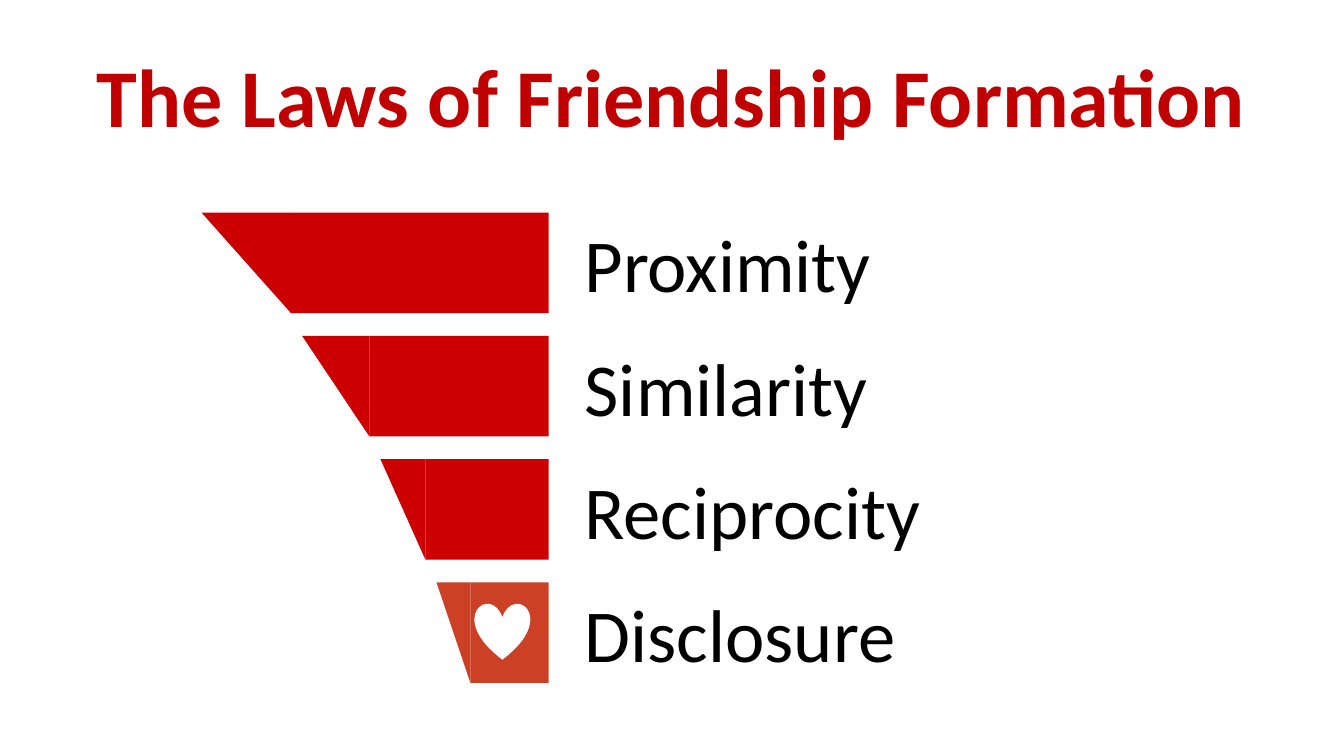
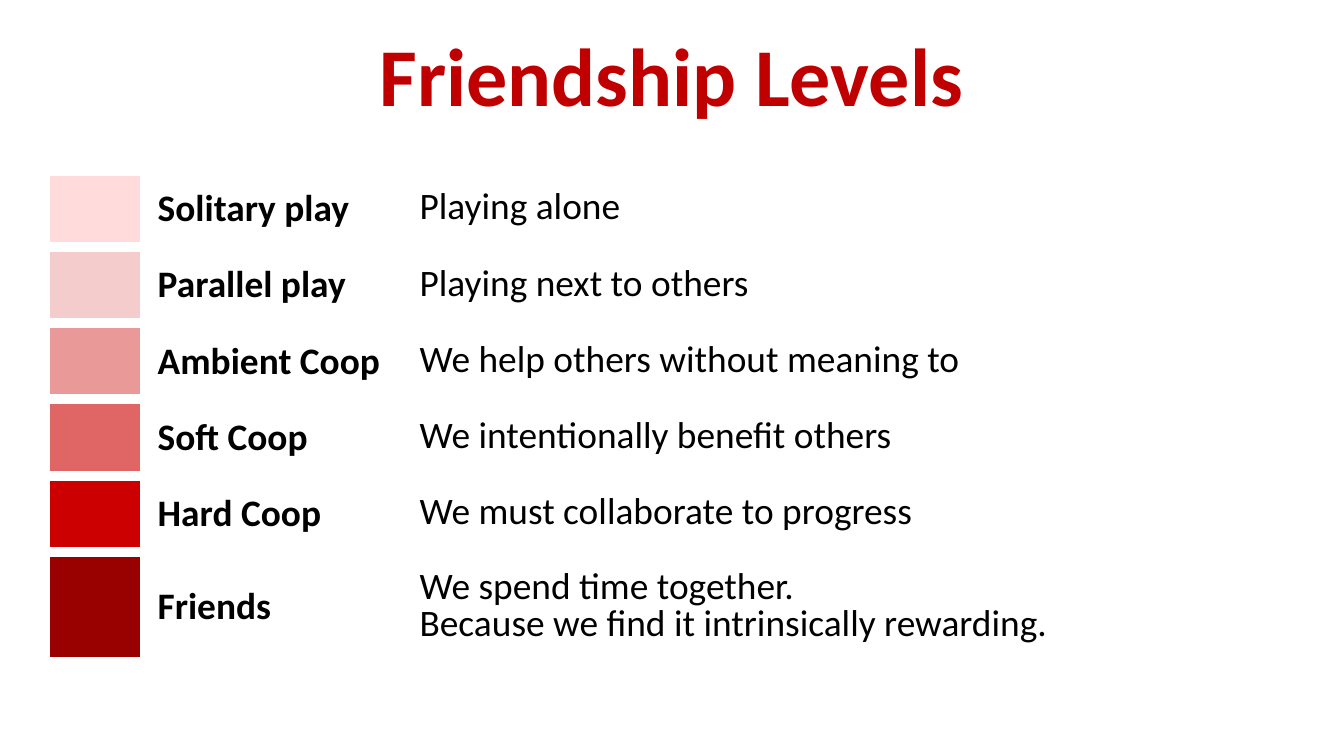
import pptx
import pptx.dml.color
import pptx.enum.shapes
import pptx.enum.text
import pptx.oxml
import pptx.oxml.ns
import pptx.util

Cm = pptx.util.Cm
Pt = pptx.util.Pt
SHAPE = pptx.enum.shapes.MSO_SHAPE
ALIGN = pptx.enum.text.PP_ALIGN
MIDDLE = pptx.enum.text.MSO_ANCHOR.MIDDLE

FONT = "Calibri"
COLOURS = {
    "title": "C00000",
    "text": "000000",
    "white": "FFFFFF",
    "law": "CC0000",
    "disclosure": "CC4125",
}
INSET = 0.25

LAWS = [
    ("Proximity", 1.69, 4.87, "law"),
    ("Similarity", 1.27, 3.39, "law"),
    ("Reciprocity", 0.85, 2.33, "law"),
    ("Disclosure", 0.64, 1.48, "disclosure"),
]
FUNNEL_TOP, FUNNEL_RIGHT, FUNNEL_PITCH, BAR_HEIGHT = 4.02, 10.37, 2.33, 1.9

LEVELS = [
    ("FFDBDB", "Solitary play", "Playing alone"),
    ("F4CCCC", "Parallel play", "Playing next to others"),
    ("EA9999", "Ambient Coop", "We help others without meaning to"),
    ("E06666", "Soft Coop", "We intentionally benefit others"),
    ("CC0000", "Hard Coop", "We must collaborate to progress"),
    ("990000", "Friends",
     "We spend time together. \vBecause we find it intrinsically rewarding."),
]
COLUMN_WIDTHS = [1.88, 4.95, 17.07]
ROW_HEIGHTS = [1.44] * 5 + [2.09]


def rgb(value):
    """Turn a hex string into a colour."""
    return pptx.dml.color.RGBColor.from_string(value)


def write(frame, text, size, colour="text", bold=False):
    """Write one styled paragraph into a text frame and return it."""
    para = frame.paragraphs[0]
    para.text = text
    para.font.name = FONT
    para.font.size = Pt(size)
    para.font.bold = bold
    para.font.color.rgb = rgb(COLOURS[colour])
    return para


def add_text(page, text, place, size, colour="text", bold=False):
    """Add a wrapped, vertically centred text box and return its paragraph."""
    frame = page.shapes.add_textbox(*map(Cm, place)).text_frame
    frame.word_wrap = True
    frame.vertical_anchor = MIDDLE
    return write(frame, text, size, colour, bold)


def add_title(page, text, top):
    """Add the centred red title."""
    para = add_text(page, text, (1.27, top, 22.86, 2.38), 44, "title", True)
    para.alignment = ALIGN.CENTER


def add_solid(page, preset, place, colour, rotation=0):
    """Add a preset shape with a flat fill and no outline."""
    shape = page.shapes.add_shape(preset, *map(Cm, place))
    shape.shadow.inherit = False
    shape.fill.solid()
    shape.fill.fore_color.rgb = rgb(COLOURS[colour])
    shape.line.fill.background()
    shape.rotation = rotation


def add_funnel_step(page, index, label, slant, width, colour):
    """Add one funnel bar with its slanted end and its label."""
    top = FUNNEL_TOP + index * FUNNEL_PITCH
    left = FUNNEL_RIGHT - width
    add_solid(page, SHAPE.RIGHT_TRIANGLE, (left - slant, top, slant, BAR_HEIGHT), colour, 180)
    add_solid(page, SHAPE.RECTANGLE, (left, top, width, BAR_HEIGHT), colour)
    add_text(page, label, (10.8, top, 8.33, BAR_HEIGHT), 40)


def set_borders(cell, colour, points):
    """Draw all four borders of a table cell."""
    properties = cell._tc.get_or_add_tcPr()
    for side in ("lnL", "lnR", "lnT", "lnB"):
        properties.append(pptx.oxml.parse_xml(
            f'<a:{side} {pptx.oxml.ns.nsdecls("a")} w="{Pt(points)}"><a:solidFill>'
            f'<a:srgbClr val="{colour}"/></a:solidFill></a:{side}>'))


def style_cell(cell, fill=None):
    """Give a cell its insets, borders and fill."""
    cell.vertical_anchor = MIDDLE
    cell.margin_left = cell.margin_right = Cm(INSET)
    cell.margin_top = cell.margin_bottom = Cm(INSET)
    set_borders(cell, COLOURS["white"], 6)
    if fill:
        cell.fill.solid()
        cell.fill.fore_color.rgb = rgb(fill)
    else:
        cell.fill.background()


def add_levels_table(page):
    """Add the table of friendship levels with its colour scale."""
    size = (sum(COLUMN_WIDTHS), sum(ROW_HEIGHTS))
    table = page.shapes.add_table(
        len(LEVELS), len(COLUMN_WIDTHS), Cm(0.85), Cm(3.23), *map(Cm, size)).table
    table.first_row = False
    table.horz_banding = False
    for column, width in zip(table.columns, COLUMN_WIDTHS):
        column.width = Cm(width)
    for row, height, (fill, level, meaning) in zip(table.rows, ROW_HEIGHTS, LEVELS):
        row.height = Cm(height)
        swatch, name, description = row.cells
        style_cell(swatch, fill)
        style_cell(name)
        style_cell(description)
        write(name.text_frame, level, 20, bold=True)
        write(description.text_frame, meaning, 20).line_spacing = 0.8


def add_laws_page(deck):
    """Add the page with the funnel of laws."""
    page = deck.slides.add_slide(deck.slide_layouts[6])
    add_title(page, "The Laws of Friendship Formation", 0.6)
    for index, law in enumerate(LAWS):
        add_funnel_step(page, index, *law)
    add_solid(page, SHAPE.HEART, (8.97, 11.4, 1.05, 1.07), "white")


def add_levels_page(deck):
    """Add the page with the levels table."""
    page = deck.slides.add_slide(deck.slide_layouts[6])
    add_levels_table(page)
    add_title(page, "Friendship Levels", 0.21)


def main():
    """Build and save the deck."""
    deck = pptx.Presentation()
    deck.slide_width = Cm(25.4)
    deck.slide_height = Cm(14.29)
    add_laws_page(deck)
    add_levels_page(deck)
    deck.save("out.pptx")


if __name__ == "__main__":
    main()
